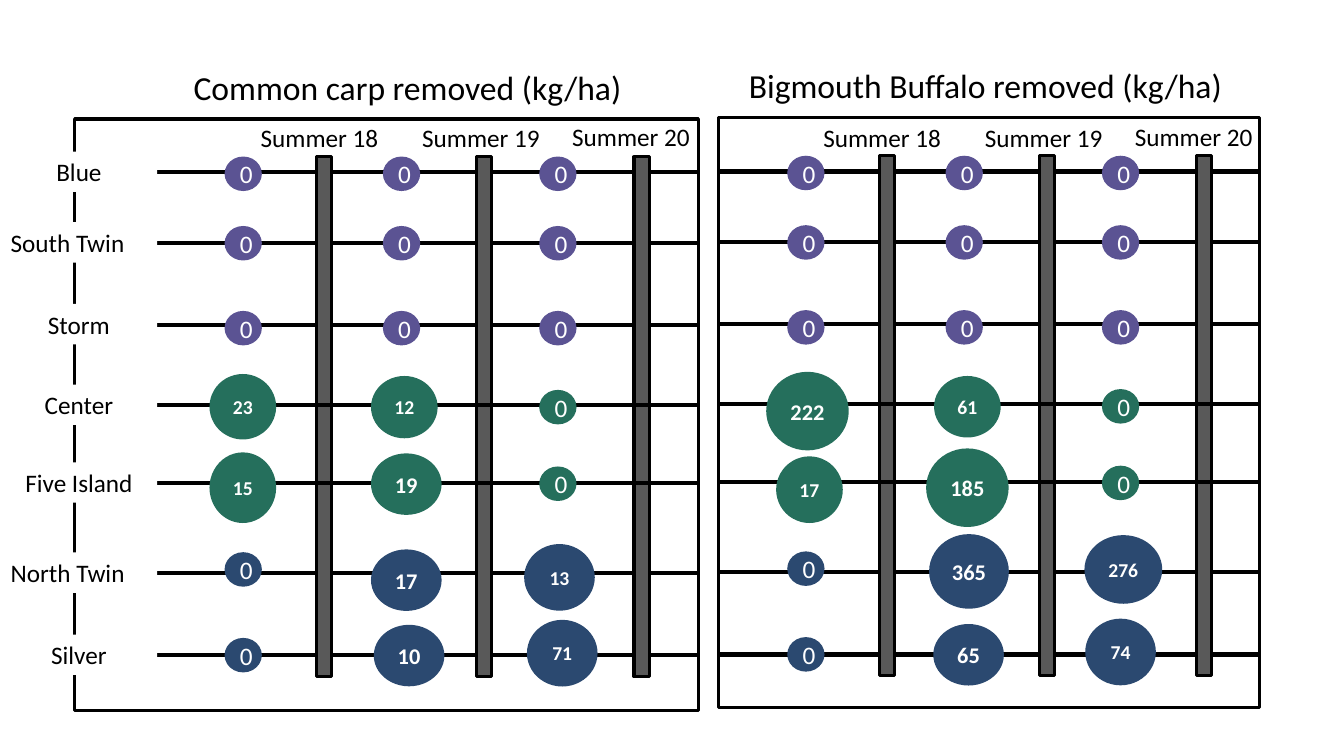
from lxml.etree import SubElement
from pptx import Presentation
from pptx.dml.color import RGBColor
from pptx.enum.shapes import MSO_CONNECTOR, MSO_SHAPE
from pptx.enum.text import MSO_ANCHOR, PP_ALIGN
from pptx.oxml.ns import qn
from pptx.util import Cm, Pt

BLACK, WHITE, GRAY = "000000", "FFFFFF", "595959"
PURPLE, GREEN, NAVY = "5B5393", "256F5C", "2B4970"


def add_box(kind, left, top, width, height, fill=None, line=None):
    shape = slide.shapes.add_shape(kind, Cm(left), Cm(top), Cm(width), Cm(height))
    shape.shadow.inherit = False
    if fill:
        shape.fill.solid()
        shape.fill.fore_color.rgb = RGBColor.from_string(fill)
    else:
        shape.fill.background()
    if line:
        shape.line.color.rgb = RGBColor.from_string(line)
        shape.line.width = Pt(2.25)
    else:
        shape.line.fill.background()
    return shape


def write(shape, text, size=18, color=BLACK, bold=False,
          align=PP_ALIGN.CENTER, anchor=MSO_ANCHOR.TOP):
    frame = shape.text_frame
    frame.word_wrap = True
    frame.vertical_anchor = anchor
    paragraph = frame.paragraphs[0]
    paragraph.text = text
    paragraph.alignment = align
    paragraph.font.name = "Calibri"
    paragraph.font.size = Pt(size)
    paragraph.font.bold = bold
    paragraph.font.color.rgb = RGBColor.from_string(color)


presentation = Presentation()
presentation.slide_width, presentation.slide_height = Cm(33.87), Cm(19.05)
slide = presentation.slides.add_slide(presentation.slide_layouts[6])

# Lake, line height, height of zero circles, circle colour, label alignment
lakes = [
    ("Blue", 4.34, 4.38, PURPLE, PP_ALIGN.CENTER),
    ("South Twin", 6.12, 6.13, PURPLE, PP_ALIGN.LEFT),
    ("Storm", 8.18, 8.27, PURPLE, PP_ALIGN.CENTER),
    ("Center", 10.21, 10.26, GREEN, PP_ALIGN.CENTER),
    ("Five Island", 12.17, 12.19, GREEN, PP_ALIGN.CENTER),
    ("North Twin", 14.44, 14.35, NAVY, PP_ALIGN.LEFT),
    ("Silver", 16.51, 16.51, NAVY, PP_ALIGN.CENTER),
]
# Summer, label left, label top, bar left, centre of zero circles
summers = [
    ("Summer 18", 6.32, 2.97, 7.98, 6.13),
    ("Summer 19", 10.39, 2.95, 12.01, 10.12),
    ("Summer 20", 14.17, 2.92, 15.98, 14.06),
]
# Catches by lake and summer: centre x, centre y, width, height, text size
carp = {
    ("Center", "Summer 18"): ("23", 6.12, 10.25, 1.68, 1.65, 14),
    ("Center", "Summer 19"): ("12", 10.19, 10.26, 1.68, 1.57, 14),
    ("Five Island", "Summer 18"): ("15", 6.12, 12.29, 1.68, 1.78, 14),
    ("Five Island", "Summer 19"): ("19", 10.24, 12.2, 1.78, 1.55, 16),
    ("North Twin", "Summer 19"): ("17", 10.24, 14.62, 1.78, 1.55, 16),
    ("North Twin", "Summer 20"): ("13", 14.1, 14.55, 1.78, 1.68, 14),
    ("Silver", "Summer 19"): ("10", 10.31, 16.52, 1.78, 1.55, 16),
    ("Silver", "Summer 20"): ("71", 14.17, 16.46, 1.78, 1.68, 14),
}
buffalo = {
    ("Center", "Summer 18"): ("222", 20.35, 10.36, 2.08, 1.98, 16),
    ("Center", "Summer 19"): ("61", 24.38, 10.25, 1.68, 1.55, 14),
    ("Five Island", "Summer 18"): ("17", 20.4, 12.34, 1.68, 1.68, 14),
    ("Five Island", "Summer 19"): ("185", 24.38, 12.29, 2.08, 1.98, 16),
    ("North Twin", "Summer 19"): ("365", 24.42, 14.4, 2.01, 1.88, 16),
    ("North Twin", "Summer 20"): ("276", 28.31, 14.35, 1.96, 1.73, 14),
    ("Silver", "Summer 19"): ("65", 24.41, 16.5, 1.78, 1.55, 16),
    ("Silver", "Summer 20"): ("74", 28.24, 16.43, 1.78, 1.68, 14),
}
# Heading, its box, frame, shift right, shift down, catches
panels = [
    ("Common carp removed (kg/ha)", (4.49, 1.55, 11.56, 1.27),
     (1.88, 3, 15.72, 14.91), 0, 0, carp),
    ("Bigmouth Buffalo removed (kg/ha)", (18.5, 1.5, 12.67, 1.27),
     (18.11, 2.97, 13.64, 14.86), 14.18, -0.02, buffalo),
]

for heading, heading_box, frame_box, right, down, catches in panels:
    add_box(MSO_SHAPE.RECTANGLE, *frame_box, line=BLACK)
    write(slide.shapes.add_textbox(*map(Cm, heading_box)), heading, size=24)

    # The green lakes' lines pass in front of the bars, the others behind
    for in_front in (False, True):
        for lake, line_y, zero_y, color, align in lakes:
            if (color == GREEN) == in_front:
                y = Cm(line_y + down)
                connector = slide.shapes.add_connector(
                    MSO_CONNECTOR.STRAIGHT, Cm(3.94 + right), y, Cm(17.58 + right), y)
                connector.line.color.rgb = RGBColor.from_string(BLACK)
                connector.line.width = Pt(3)
                SubElement(connector._element.spPr, qn("a:effectLst"))
        if not in_front:
            for summer, label_x, label_y, bar_x, zero_x in summers:
                add_box(MSO_SHAPE.RECTANGLE, bar_x + right, 3.95 + down, 0.38, 13.1,
                        fill=GRAY, line=BLACK)

    for summer, label_x, label_y, bar_x, zero_x in summers:
        label = slide.shapes.add_textbox(
            Cm(label_x + right), Cm(label_y), Cm(4.14), Cm(1.02))
        write(label, summer, align=PP_ALIGN.LEFT)
        for lake, line_y, zero_y, color, align in lakes:
            zero = ("0", zero_x + right, zero_y + down, 0.94, 0.87, 18)
            amount, x, y, width, height, size = catches.get((lake, summer), zero)
            circle = add_box(MSO_SHAPE.OVAL, x - width / 2, y - height / 2,
                             width, height, fill=color)
            write(circle, amount, size=size, color=WHITE, bold=amount != "0",
                  anchor=MSO_ANCHOR.MIDDLE)

for lake, line_y, zero_y, color, align in lakes:
    label = add_box(MSO_SHAPE.RECTANGLE, 0.02, line_y - 0.52, 3.94, 1.02, fill=WHITE)
    write(label, lake, align=align)

presentation.save("out.pptx")
